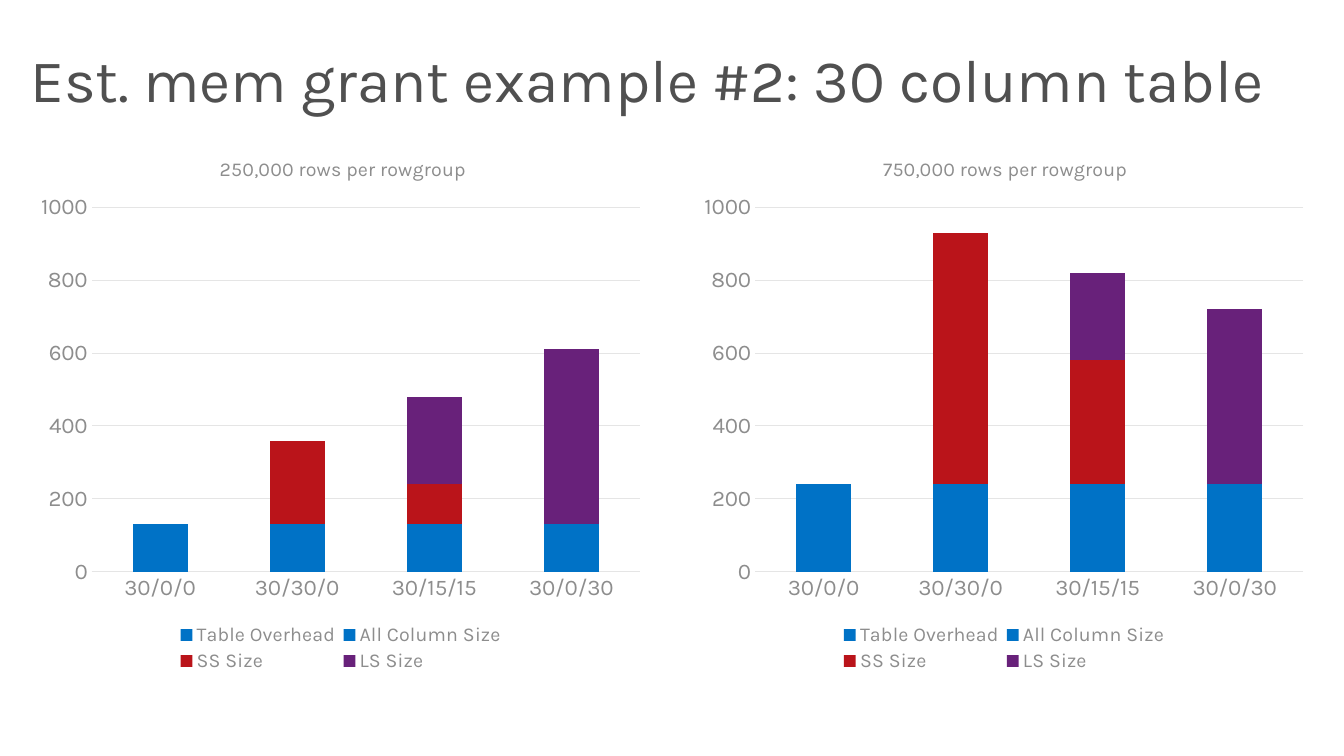
from dataclasses import dataclass

from lxml import etree
from pptx import Presentation
from pptx.chart.data import CategoryChartData
from pptx.dml.color import RGBColor
from pptx.enum.chart import XL_CHART_TYPE, XL_LEGEND_POSITION, XL_TICK_MARK
from pptx.enum.text import MSO_ANCHOR
from pptx.oxml.ns import qn
from pptx.util import Inches, Pt

STACKED = XL_CHART_TYPE.COLUMN_STACKED
BOTTOM = XL_LEGEND_POSITION.BOTTOM
NO_TICK = XL_TICK_MARK.NONE
MIDDLE = MSO_ANCHOR.MIDDLE


@dataclass(frozen=True)
class Theme:
    face: str = "Karla"
    dark: str = "505050"
    gray: str = "8D8D8D"
    rule: str = "E5E5E5"
    fills: tuple = ("0072C6", "0072C6", "BA141A", "68217A")
    head: float = 43.1
    axis: float = 16
    label: float = 14
    base: float = 10
    line: float = 0.75


THEME = Theme()
GROUPS = ("30/0/0", "30/30/0", "30/15/15", "30/0/30")
CHARTS = (
    ("250,000 rows per rowgroup", {
        "Table Overhead": (70,) * 4,
        "All Column Size": (60,) * 4,
        "SS Size": (0, 230, 110, 0),
        "LS Size": (0, 0, 240, 480),
    }),
    ("750,000 rows per rowgroup", {
        "Table Overhead": (70,) * 4,
        "All Column Size": (170,) * 4,
        "SS Size": (0, 690, 340, 0),
        "LS Size": (0, 0, 240, 480),
    }),
)


def apply(item, values):
    for name, value in values.items():
        setattr(item, name, value)


def style(font, size, color):
    apply(font, {"name": THEME.face, "size": Pt(size), "bold": False})
    font.color.rgb = RGBColor.from_string(color)


def rule(line):
    line.color.rgb = RGBColor.from_string(THEME.rule)
    line.width = Pt(THEME.line)


def place(node, index, values):
    for old in node.findall(qn("c:layout")):
        node.remove(old)
    layout = etree.Element(qn("c:layout"))
    manual = etree.SubElement(layout, qn("c:manualLayout"))
    for name, value in values.items():
        etree.SubElement(manual, qn("c:" + name)).set("val", str(value))
    node.insert(index, layout)


def add_head(slide, text):
    box = slide.shapes.add_textbox(0, 0, Inches(13.33), Inches(1.45))
    frame = box.text_frame
    apply(frame, {
        "word_wrap": True, "vertical_anchor": MIDDLE,
        "margin_left": Inches(0.3), "margin_top": Inches(0.25),
        "margin_right": Inches(0.1), "margin_bottom": Inches(0.05),
    })
    para = frame.paragraphs[0]
    para.line_spacing = 0.9
    run = para.add_run()
    run.text = text
    style(run.font, THEME.head, THEME.dark)


def set_axes(chart):
    for axis in (chart.category_axis, chart.value_axis):
        apply(axis, {"major_tick_mark": NO_TICK, "minor_tick_mark": NO_TICK})
        style(axis.tick_labels.font, THEME.axis, THEME.gray)
    rule(chart.category_axis.format.line)
    scale = chart.value_axis
    apply(scale, {"minimum_scale": 0, "maximum_scale": 1000,
                  "major_unit": 200, "has_major_gridlines": True})
    apply(scale.tick_labels, {"number_format": "0",
                              "number_format_is_linked": False})
    scale.format.line.fill.background()
    rule(scale.major_gridlines.format.line)


def set_title(chart, text):
    chart.has_title = True
    title = chart.chart_title
    run = title.text_frame.paragraphs[0].add_run()
    run.text = text
    style(run.font, THEME.label, THEME.gray)
    title.include_in_layout = False
    place(title._element, 1,
          {"xMode": "edge", "yMode": "edge", "x": 0.3, "y": 0.04})


def set_legend(chart):
    chart.has_legend = True
    legend = chart.legend
    apply(legend, {"position": BOTTOM, "include_in_layout": False})
    style(legend.font, THEME.label, THEME.gray)
    place(legend._element, 1,
          {"xMode": "edge", "yMode": "edge",
           "x": 0.23, "y": 0.9, "w": 0.54, "h": 0.1})


def add_chart(slide, left, title, series):
    data = CategoryChartData(number_format="0")
    data.categories = GROUPS
    for name, values in series.items():
        data.add_series(name, values)
    chart = slide.shapes.add_chart(
        STACKED, Inches(left), Inches(1.3), Inches(6.18), Inches(5.4), data
    ).chart
    style(chart.font, THEME.base, THEME.dark)
    plot = chart.plots[0]
    apply(plot, {"gap_width": 150, "overlap": 100,
                 "vary_by_categories": False})
    for bar, color in zip(plot.series, THEME.fills):
        bar.format.fill.solid()
        bar.format.fill.fore_color.rgb = RGBColor.from_string(color)
    set_axes(chart)
    set_title(chart, title)
    set_legend(chart)
    area = chart._chartSpace.find(".//" + qn("c:plotArea"))
    place(area, 0,
          {"layoutTarget": "inner", "xMode": "edge", "yMode": "edge",
           "x": 0.1, "y": 0.14, "w": 0.88, "h": 0.67})


def main():
    deck = Presentation()
    apply(deck, {"slide_width": Inches(13.33), "slide_height": Inches(7.5)})
    slide = deck.slides.add_slide(deck.slide_layouts[6])
    add_head(slide, "Est. mem grant example #2: 30 column table")
    for index, (title, series) in enumerate(CHARTS):
        add_chart(slide, 0.29 + 6.58 * index, title, series)
    deck.save("out.pptx")


if __name__ == "__main__":
    main()
